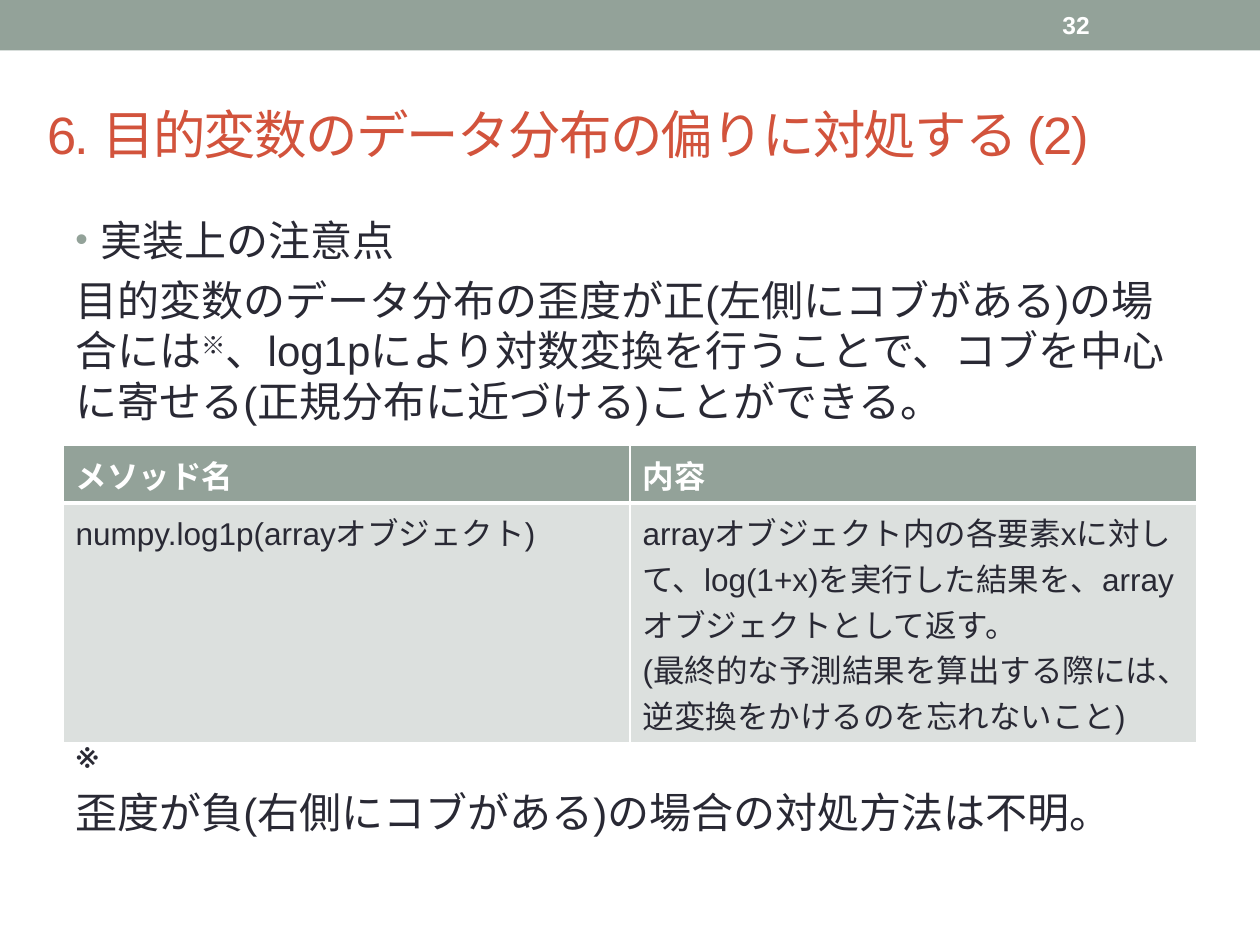
import pptx
import pptx.util
import pptx.dml.color
import pptx.enum.shapes
import pptx.enum.text
import pptx.oxml
import pptx.oxml.ns
from dataclasses import dataclass

Pt = pptx.util.Pt
MIDDLE = pptx.enum.text.MSO_ANCHOR.MIDDLE
TOP = pptx.enum.text.MSO_ANCHOR.TOP


@dataclass(frozen=True)
class Theme:
    font: str = "Arial"
    sage: str = "93A299"
    pale: str = "DCE0DE"
    red: str = "D2533C"
    ink: str = "292934"
    white: str = "FFFFFF"
    title: int = 30
    body: int = 24
    cell: int = 18
    page: int = 14


THEME = Theme()


def paint(color):
    return pptx.dml.color.RGBColor.from_string(color)


def style(font, size, color, bold=False):
    font.name = THEME.font
    font.size = Pt(size)
    font.color.rgb = paint(color)
    font.bold = bold


def fill_text(frame, lines, size, color, bold=False):
    frame.text = "\n".join(lines)
    for para in frame.paragraphs:
        for run in para.runs:
            style(run.font, size, color, bold)


def add_bar(slide, left, top, width, height):
    bar = slide.shapes.add_shape(
        pptx.enum.shapes.MSO_SHAPE.RECTANGLE,
        Pt(left), Pt(top), Pt(width), Pt(height))
    bar.shadow.inherit = False
    bar.fill.solid()
    bar.fill.fore_color.rgb = paint(THEME.sage)
    bar.line.fill.background()


def add_text(slide, box, lines, size, color, bold=False, anchor=TOP):
    shape = slide.shapes.add_textbox(*(Pt(side) for side in box))
    frame = shape.text_frame
    frame.word_wrap = True
    frame.vertical_anchor = anchor
    fill_text(frame, lines, size, color, bold)
    return frame


def space(frame):
    for para in frame.paragraphs[1:]:
        para.space_before = Pt(5.5)


def add_bullet(para, indent):
    props = para._p.get_or_add_pPr()
    props.set("marL", str(Pt(indent)))
    props.set("indent", str(-Pt(indent)))
    names = pptx.oxml.ns.nsdecls("a")
    for xml in (
        f'<a:buClr {names}><a:srgbClr val="{THEME.sage}"/></a:buClr>',
        f'<a:buSzPct {names} val="85000"/>',
        f'<a:buFont {names} typeface="{THEME.font}"/>',
        f'<a:buChar {names} char="•"/>',
    ):
        props.append(pptx.oxml.parse_xml(xml))


def add_note(para, parts):
    for part in parts:
        run = para.add_run()
        run.text = part
        style(run.font, THEME.body, THEME.ink)
        if part == "※":
            run._r.get_or_add_rPr().set("baseline", "30000")


def set_edges(cell, widths):
    props = cell._tc.get_or_add_tcPr()
    names = pptx.oxml.ns.nsdecls("a")
    for index, (side, width) in enumerate(zip("LRTB", widths)):
        props.insert(index, pptx.oxml.parse_xml(
            f'<a:ln{side} {names} w="{Pt(width)}">'
            f'<a:solidFill><a:srgbClr val="{THEME.white}"/></a:solidFill>'
            f'</a:ln{side}>'))


def add_table(slide, box, rows, heights):
    table = slide.shapes.add_table(
        len(rows), len(rows[0]), *(Pt(side) for side in box)).table
    for row, height in zip(table.rows, heights):
        row.height = Pt(height)
    for top, row in enumerate(rows):
        head = top == 0
        for left, lines in enumerate(row):
            cell = table.cell(top, left)
            cell.fill.solid()
            cell.fill.fore_color.rgb = paint(THEME.sage if head else THEME.pale)
            fill_text(cell.text_frame, lines, THEME.cell,
                      THEME.white if head else THEME.ink, head)
            set_edges(cell, (1, 1, 1, 3) if head else (1, 1, 3, 1))


def main():
    deck = pptx.Presentation()
    deck.slide_width, deck.slide_height = Pt(720), Pt(540)
    slide = deck.slides.add_slide(deck.slide_layouts[6])

    add_bar(slide, 0, 0, 720, 28.8)
    add_text(slide, (600, 1, 84, 26), ["32"], THEME.page, THEME.white,
             True, MIDDLE)
    title = add_text(slide, (20, 37.5, 680, 78),
                     ["6. 目的変数のデータ分布の偏りに対処する (2)"],
                     THEME.title, THEME.red, anchor=MIDDLE)
    for run in title.paragraphs[0].runs:
        run._r.get_or_add_rPr().set("spc", "-100")

    body = add_text(slide, (36, 119, 648, 130), ["実装上の注意点", ""],
                    THEME.body, THEME.ink)
    add_bullet(body.paragraphs[0], 14.4)
    add_note(body.paragraphs[1], [
        "目的変数のデータ分布の歪度が正(左側にコブがある)の場合には",
        "※",
        "、log1pにより対数変換を行うことで、コブを中心に寄せる"
        "(正規分布に近づける)ことができる。",
    ])
    space(body)

    foot = add_text(slide, (36, 411.5, 648, 74),
                    ["※", "歪度が負(右側にコブがある)の場合の対処方法は不明。"],
                    THEME.body, THEME.ink)
    space(foot)

    heights = (33, 137)
    add_table(slide, (36, 254.5, 648, sum(heights)), [
        [["メソッド名"], ["内容"]],
        [["numpy.log1p(arrayオブジェクト)"],
         ["arrayオブジェクト内の各要素xに対して、log(1+x)を実行した結果を、"
          "arrayオブジェクトとして返す。",
          "(最終的な予測結果を算出する際には、逆変換をかけるのを忘れないこと)"]],
    ], heights)

    deck.save("out.pptx")


if __name__ == "__main__":
    main()
